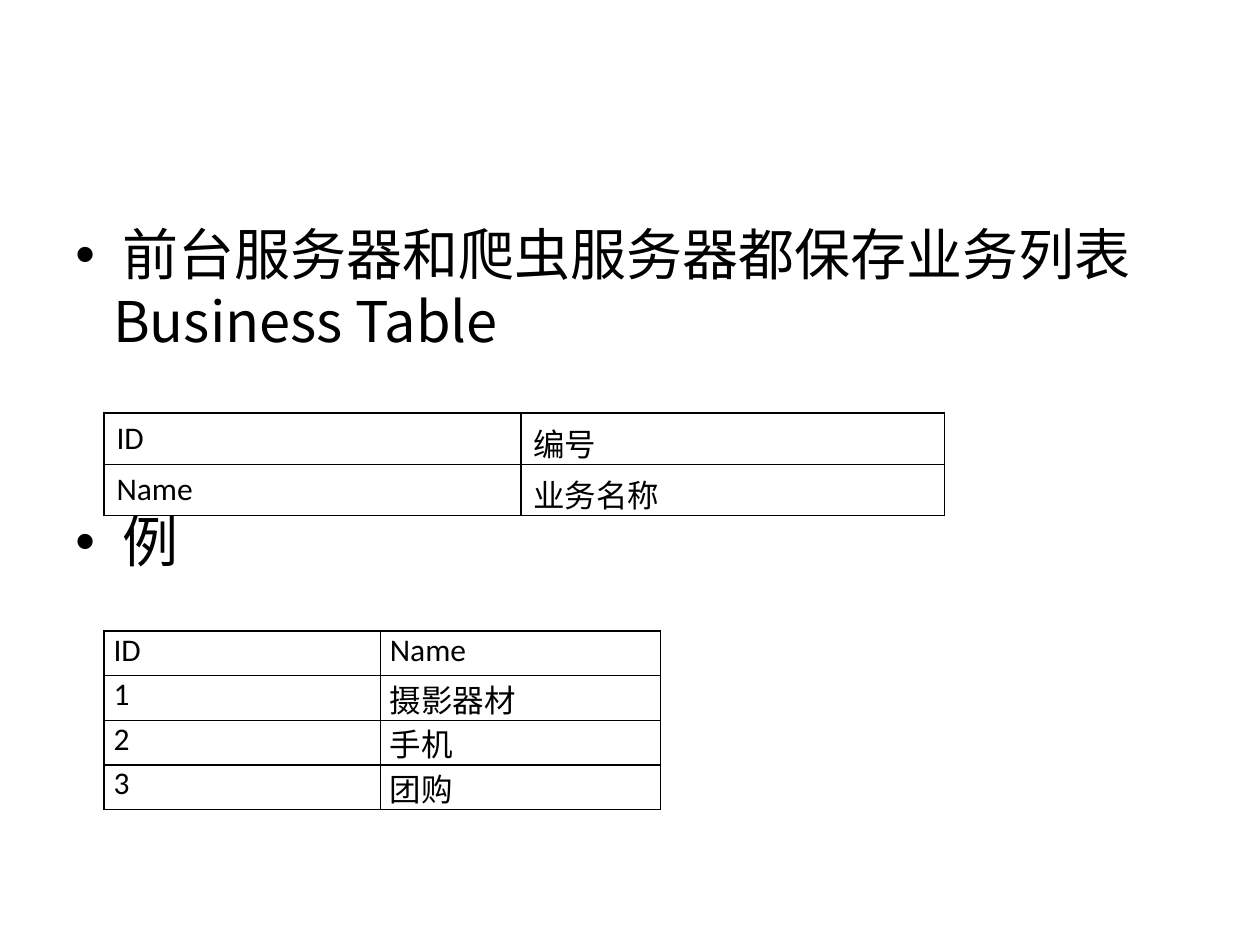
from dataclasses import dataclass
from typing import Any

from lxml import etree
from pptx import Presentation
from pptx.dml.color import RGBColor
from pptx.enum.text import PP_ALIGN
from pptx.oxml import parse_xml
from pptx.oxml.ns import nsdecls, qn
from pptx.util import Cm, Pt


def color(value):
    return RGBColor.from_string(value)


@dataclass
class SlideBuilder:
    """Holds the style and the current slide."""
    slide: Any
    ink: str = "000000"
    latin: str = "Calibri"
    cjk: str = "Noto Sans CJK SC"

    def run(self, paragraph, text, size, font):
        run = paragraph.add_run()
        run.text = text
        run.font.size = Pt(size)
        run.font.name = font
        run.font.color.rgb = color(self.ink)
        east_asian = etree.SubElement(run._r.get_or_add_rPr(), qn("a:ea"))
        east_asian.set("typeface", self.cjk)

    def body(self, x, y, width, height, items):
        frame = self.slide.shapes.add_textbox(Cm(x), Cm(y), Cm(width), Cm(height)).text_frame
        frame.word_wrap = True
        for index, (text, bullet, margin, before) in enumerate(items):
            paragraph = frame.paragraphs[0] if index == 0 else frame.add_paragraph()
            paragraph.line_spacing = 0.9
            paragraph.space_before = Pt(before)
            props = paragraph._p.get_or_add_pPr()
            props.set("marL", str(Cm(margin)))
            if bullet:
                props.set("indent", str(-Cm(margin)))
                etree.SubElement(props, qn("a:buFont")).set("typeface", "Arial")
                etree.SubElement(props, qn("a:buChar")).set("char", "•")
            self.run(paragraph, text, 32, self.cjk)

    def border(self, cell):
        props = cell._tc.get_or_add_tcPr()
        for index, side in enumerate(("lnL", "lnR", "lnT", "lnB")):
            props.insert(index, parse_xml(
                f'<a:{side} {nsdecls("a")} w="{Pt(1)}"><a:solidFill>'
                f'<a:srgbClr val="{self.ink}"/></a:solidFill></a:{side}>'))

    def table(self, x, y, widths, row_height, rows, insets=(0.25, 0.13), align=None):
        table = self.slide.shapes.add_table(
            len(rows), len(widths), Cm(x), Cm(y),
            Cm(sum(widths)), Cm(row_height * len(rows))).table
        table.first_row = table.horz_banding = False
        for column, width in zip(table.columns, widths):
            column.width = Cm(width)
        for r, row in enumerate(rows):
            table.rows[r].height = Cm(row_height)
            for c, text in enumerate(row):
                cell = table.cell(r, c)
                cell.margin_left = cell.margin_right = Cm(insets[0])
                cell.margin_top = cell.margin_bottom = Cm(insets[1])
                cell.fill.background()
                self.border(cell)
                paragraph = cell.text_frame.paragraphs[0]
                paragraph.alignment = align
                self.run(paragraph, text, 18, self.latin)


deck = Presentation()
deck.slide_width, deck.slide_height = Cm(25.4), Cm(19.05)
page = SlideBuilder(deck.slides.add_slide(deck.slide_layouts[6]))

page.body(1.27, 4.45, 22.86, 12.57, [
    ("前台服务器和爬虫服务器都保存业务列表", True, 0.95, 0),
    ("Business Table", False, 0.76, 4),
    ("例", True, 0.95, 91),
])
page.table(2.1, 8.33, (8.4, 8.54), 1.03, [("ID", "编号"), ("Name", "业务名称")])
page.table(2.1, 12.72, (5.57, 5.64), 0.9,
           [("ID", "Name"), ("1", "摄影器材"), ("2", "手机"), ("3", "团购")],
           insets=(0.19, 0), align=PP_ALIGN.JUSTIFY)

deck.save("out.pptx")
